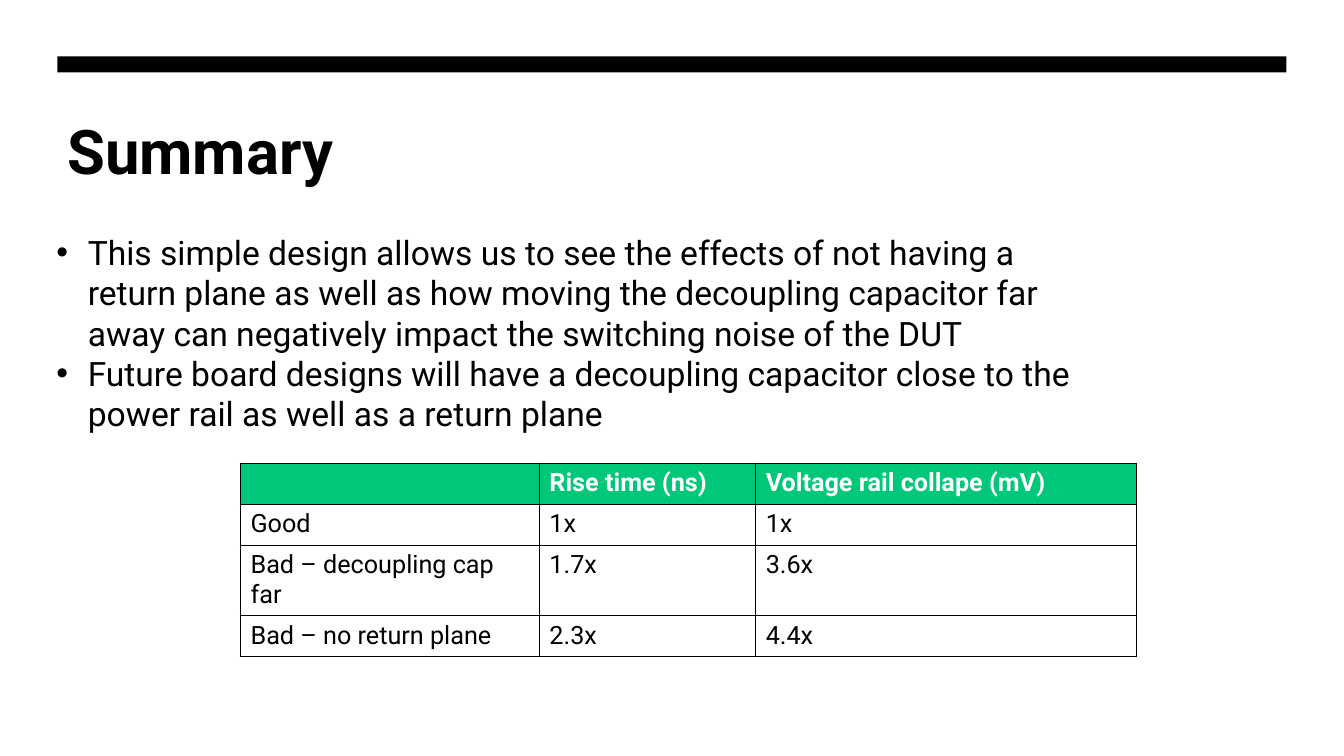
from dataclasses import dataclass

from lxml.etree import SubElement
from pptx import Presentation
from pptx.dml.color import RGBColor as RGB
from pptx.enum.shapes import MSO_SHAPE as SHAPE
from pptx.enum.text import MSO_ANCHOR as ANCHOR
from pptx.oxml.ns import qn
from pptx.util import Pt


@dataclass(frozen=True)
class Theme:
    """Hold the colours, font and type sizes of the slide."""
    ink: RGB = RGB(0, 0, 0)
    paper: RGB = RGB(255, 255, 255)
    accent: RGB = RGB(0, 200, 120)
    font: str = "Roboto"
    title: int = 44
    body: int = 24
    cell: int = 18


T = Theme()
BULLETS = (
    "This simple design allows us to see the effects of not having a return plane "
    "as well as how moving the decoupling capacitor far away can negatively impact "
    "the switching noise of the DUT",
    "Future board designs will have a decoupling capacitor close to the power rail "
    "as well as a return plane",
)
RESULTS = (
    ("", "Rise time (ns)", "Voltage rail collape (mV)"),
    ("Good", "1x", "1x"),
    ("Bad – decoupling cap far", "1.7x", "3.6x"),
    ("Bad – no return plane", "2.3x", "4.4x"),
)
COL_WIDTHS = (213.5, 154.5, 272)


def add_run(p, text, size, color=T.ink, bold=False):
    """Add one styled run to a paragraph."""
    r = p.add_run()
    r.text = text
    r.font.name, r.font.size, r.font.bold = T.font, Pt(size), bold
    r.font.color.rgb = color


def add_text_frame(s, x, y, w, h):
    """Add a wrapping, top-anchored text box and return its frame."""
    tf = s.shapes.add_textbox(Pt(x), Pt(y), Pt(w), Pt(h)).text_frame
    tf.word_wrap = True
    tf.vertical_anchor = ANCHOR.TOP
    return tf


def add_header(s, x, y, w, h):
    """Place the bar at the top of the box and the title below it."""
    bar_h, title_dy = 11.5, 36.7
    bar = s.shapes.add_shape(SHAPE.RECTANGLE, Pt(x), Pt(y), Pt(w), Pt(bar_h))
    bar.shadow.inherit = False
    bar.fill.solid()
    bar.fill.fore_color.rgb = T.ink
    bar.line.fill.background()
    tf = add_text_frame(s, x, y + title_dy, w, h - title_dy)
    add_run(tf.paragraphs[0], "Summary", T.title, bold=True)


def add_bullets(s, x, y, w, h, items, indent=22.5):
    """Fill the box with a bulleted list."""
    tf = add_text_frame(s, x, y, w, h)
    for i, item in enumerate(items):
        p = tf.add_paragraph() if i else tf.paragraphs[0]
        pPr = p._p.get_or_add_pPr()
        pPr.set("marL", str(Pt(indent)))
        pPr.set("indent", str(-Pt(indent)))
        SubElement(pPr, qn("a:buFont"), typeface="Arial")
        SubElement(pPr, qn("a:buChar"), char="•")
        add_run(p, item, T.body)


def add_borders(cell):
    """Draw a thin line on all four sides of a cell."""
    tcPr = cell._tc.get_or_add_tcPr()
    for side in ("lnL", "lnR", "lnT", "lnB"):
        ln = SubElement(tcPr, qn(f"a:{side}"), w=str(Pt(1)))
        fill = SubElement(ln, qn("a:solidFill"))
        SubElement(fill, qn("a:srgbClr"), val=str(T.ink))


def add_results(s, x, y, h, widths, rows):
    """Place the results table, with its header row in the accent colour."""
    frame = s.shapes.add_table(len(rows), len(widths), Pt(x), Pt(y), Pt(sum(widths)), Pt(h))
    table = frame.table
    table.horz_banding = False
    for col, width in zip(table.columns, widths):
        col.width = Pt(width)
    for i, row in enumerate(rows):
        head = i == 0
        for j, text in enumerate(row):
            cell = table.cell(i, j)
            add_borders(cell)
            cell.fill.solid()
            cell.fill.fore_color.rgb = T.accent if head else T.paper
            if text:
                add_run(cell.text_frame.paragraphs[0], text, T.cell,
                        T.paper if head else T.ink, head)


def main():
    """Build the summary slide and save it."""
    prs = Presentation()
    prs.slide_width, prs.slide_height = Pt(960), Pt(540)
    s = prs.slides.add_slide(prs.slide_layouts[6])
    add_header(s, 41, 40.3, 878, 152)
    add_bullets(s, 33.1, 162, 749.5, 152.6, BULLETS)
    add_results(s, 171.8, 331, 116.8, COL_WIDTHS, RESULTS)
    prs.save("out.pptx")


if __name__ == "__main__":
    main()
